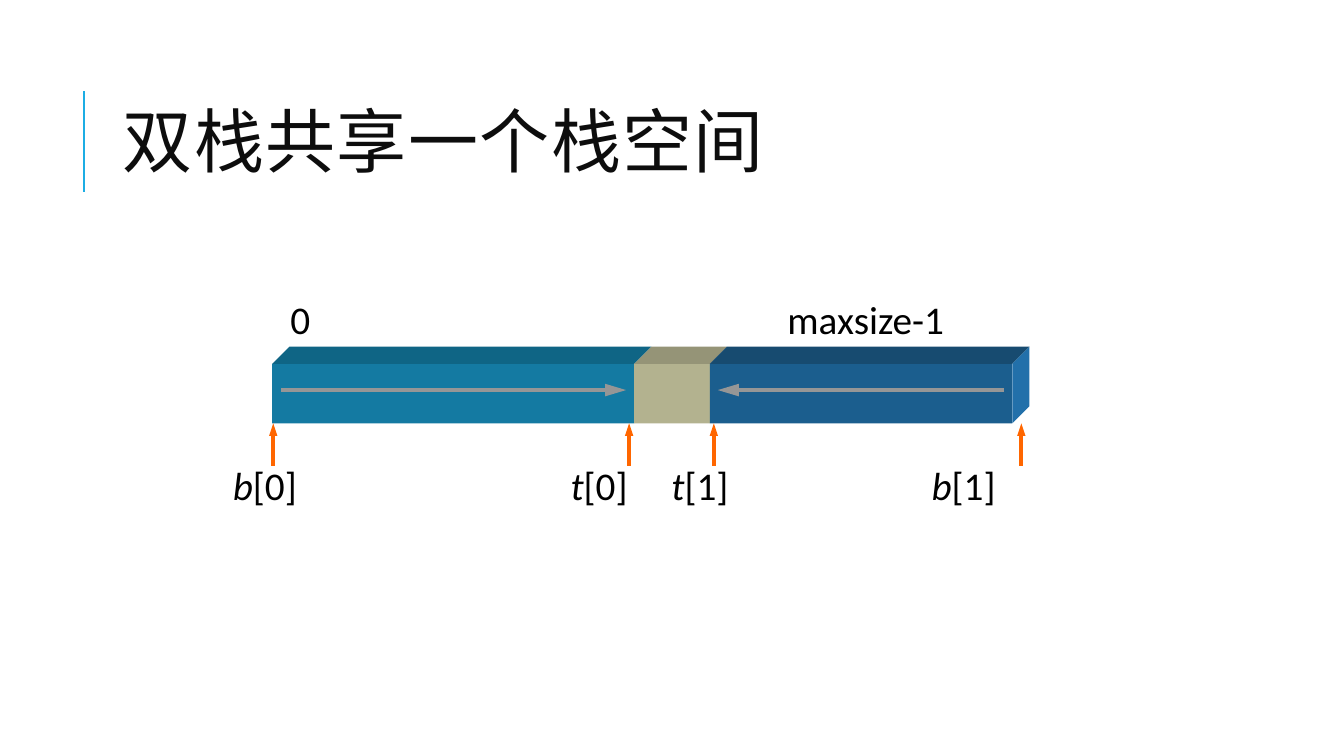
from lxml import etree
from pptx import Presentation
from pptx.dml.color import RGBColor
from pptx.enum import shapes, text
from pptx.oxml.ns import qn
from pptx.util import Inches, Pt

TITLE = "双栈共享一个栈空间"
# left, right, front colour, top colour
SEGMENTS = [
    (2.7, 6.29, "147AA2", "0F6585"),
    (6.29, 7.04, "B3B28F", "959477"),
    (7.04, 10.04, "1B5E8E", "174B70"),
]
SIDE_COLOUR = "2270AA"
BAR_TOP, BAR_BOTTOM, DEPTH = 3.61, 4.2, 0.17
INDEX_LABELS = [(2.88, "0"), (7.81, "maxsize-1")]
POINTER_LABELS = [(2.31, "b", "[0]"), (5.66, "t", "[0]"),
                  (6.66, "t", "[1]"), (9.24, "b", "[1]")]
POINTERS = [2.71, 6.24, 7.08, 10.13]
GROWTH = [(2.79, 6.21), (9.96, 7.12)]
GROWTH_Y = 3.87
INDEX_Y, POINTER_LABEL_Y, POINTER_START = 2.93, 4.58, 4.62

presentation = Presentation()
presentation.slide_width, presentation.slide_height = Inches(13.33), Inches(7.5)
slide = presentation.slides.add_slide(presentation.slide_layouts[6])


def colour(value):
    """Turn a hex string into a colour."""
    return RGBColor.from_string(value)


def add_line(start, end, hex_colour, width, head=None):
    """Draw a line, with an arrowhead of the given (width, length) at its end."""
    line = slide.shapes.add_connector(
        shapes.MSO_CONNECTOR.STRAIGHT, *map(Inches, start + end))
    line.line.color.rgb = colour(hex_colour)
    line.line.width = Pt(width)
    if head:
        etree.SubElement(line.line._get_or_add_ln(), qn("a:tailEnd"),
                         type="triangle", w=head[0], len=head[1])
    etree.SubElement(line._element.spPr, qn("a:effectLst"))


def add_text(box, runs, size, hex_colour, font, **frame_format):
    """Add a text box of (text, italic) runs and return its paragraph."""
    frame = slide.shapes.add_textbox(*map(Inches, box)).text_frame
    for name, value in frame_format.items():
        setattr(frame, name, value)
    paragraph = frame.paragraphs[0]
    for words, italic in runs:
        run = paragraph.add_run()
        run.text = words
        run.font.color.rgb = colour(hex_colour)
        for name, value in {"name": font, "size": Pt(size), "italic": italic}.items():
            setattr(run.font, name, value)
    return paragraph


def add_label(left, top, runs):
    """Add a diagram label whose text starts exactly at left, top."""
    add_text((left, top, 1.7, 0.47), runs, 28, "000000", "Calibri", word_wrap=False,
             margin_left=0, margin_right=0, margin_top=0, margin_bottom=0)


def paint(shape, hex_colour):
    """Give a shape a flat fill without line or shadow."""
    shape.shadow.inherit = False
    shape.fill.solid()
    shape.fill.fore_color.rgb = colour(hex_colour)
    shape.line.fill.background()


def add_face(points, hex_colour):
    """Draw one slanted face of the bar."""
    corners = [(Inches(x), Inches(y)) for x, y in points]
    builder = slide.shapes.build_freeform(*corners[0])
    builder.add_line_segments(corners[1:], close=True)
    paint(builder.convert_to_shape(), hex_colour)


add_line((0.83, 1.9), (0.83, 0.9), "1CADE4", 1.5)
title = add_text((1.12, 0.64, 10.63, 1.64), [(TITLE, False)], 50, "0D0D0D", "Cabin",
                 word_wrap=True, vertical_anchor=text.MSO_ANCHOR.MIDDLE)
title.line_spacing = 0.8
title.runs[0].font._element.set("spc", "100")

back = BAR_TOP - DEPTH
for left, right, front_colour, top_colour in SEGMENTS:
    front = slide.shapes.add_shape(
        shapes.MSO_SHAPE.RECTANGLE,
        *map(Inches, (left, BAR_TOP, right - left, BAR_BOTTOM - BAR_TOP)))
    paint(front, front_colour)
    add_face([(left, BAR_TOP), (left + DEPTH, back),
              (right + DEPTH, back), (right, BAR_TOP)], top_colour)
bar_end = SEGMENTS[-1][1]
add_face([(bar_end, BAR_TOP), (bar_end + DEPTH, back),
          (bar_end + DEPTH, BAR_BOTTOM - DEPTH), (bar_end, BAR_BOTTOM)], SIDE_COLOUR)

for x in POINTERS:
    add_line((x, POINTER_START), (x, BAR_BOTTOM), "FF6600", 3, ("sm", "med"))
for start, end in GROWTH:
    add_line((start, GROWTH_Y), (end, GROWTH_Y), "969696", 3, ("med", "lg"))
for left, words in INDEX_LABELS:
    add_label(left, INDEX_Y, [(words, False)])
for left, name, index in POINTER_LABELS:
    add_label(left, POINTER_LABEL_Y, [(name, True), (index, False)])

presentation.save("out.pptx")
